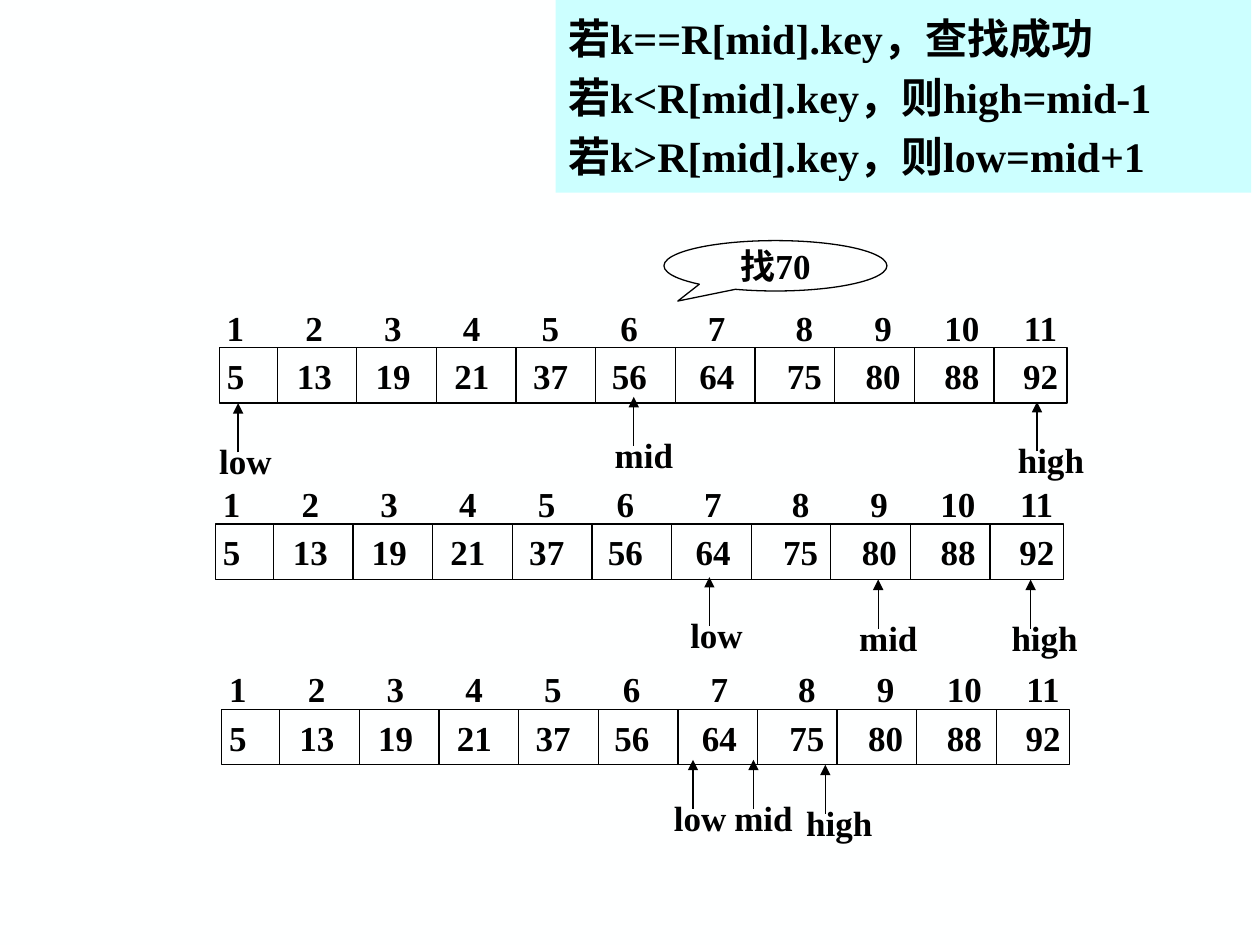
from pptx import Presentation
from pptx.dml.color import RGBColor
from pptx.enum.shapes import MSO_CONNECTOR, MSO_SHAPE
from pptx.enum.text import MSO_ANCHOR, PP_ALIGN
from pptx.oxml.ns import qn
from pptx.util import Inches, Pt
from lxml.etree import SubElement

COLORS = {"background": "FEFFFF", "ink": "000000", "rules": "CCFFFF"}
FONT = "Times New Roman"

KEYS = [5, 13, 19, 21, 37, 56, 64, 75, 80, 88, 92]
ARRAY_W, ARRAY_H = 6.73, 0.44
FIRST_DIVIDER, DIVIDER_STEP = 0.46, 0.632
TEXT_INSET = 0.06
# Number centres from the array's left edge; the gaps before 7 and 8 are wider
CENTERS = [0.13 + 0.625 * i + 0.07 * min(max(i - 5, 0), 2) for i in range(len(KEYS))]

ARROW_LENGTH = 0.39
LABEL_WIDTHS = {"low": 0.62, "mid": 0.66, "high": 0.73}

# Left and top of each array, then its pointers as (name, x, y of the tip)
STEPS = [
    (1.74, 2.76, [("low", 1.89, 3.2), ("high", 8.23, 3.19), ("mid", 5.03, 3.15)]),
    (1.71, 4.16, [("low", 5.63, 4.58), ("high", 8.18, 4.6), ("mid", 6.97, 4.6)]),
    (1.76, 5.63, [("low", 5.5, 6.03), ("high", 6.55, 6.07), ("mid", 5.98, 6.03)]),
]
RULES = [
    "若k==R[mid].key，查找成功",
    "若k<R[mid].key，则high=mid-1",
    "若k>R[mid].key，则low=mid+1",
]


def rgb(name):
    return RGBColor.from_string(COLORS[name])


def set_text(sp, text, size=20, align=PP_ALIGN.LEFT, wrap=False):
    tf = sp.text_frame
    tf.text = text
    tf.word_wrap = wrap
    for p in tf.paragraphs:
        p.alignment = align
        for r in p.runs:
            r.font.name = FONT
            r.font.size = Pt(size)
            r.font.bold = True
            r.font.color.rgb = rgb("ink")


def add_box(shapes, kind, left, top, width, height, fill=None):
    """Add a filled shape without outline, or an outlined one without fill."""
    sp = shapes.add_shape(kind, Inches(left), Inches(top), Inches(width), Inches(height))
    sp.shadow.inherit = False
    sp.text_frame.vertical_anchor = MSO_ANCHOR.MIDDLE
    if fill:
        sp.fill.solid()
        sp.fill.fore_color.rgb = rgb(fill)
        sp.line.fill.background()
    else:
        sp.fill.background()
        sp.line.color.rgb = rgb("ink")
        sp.line.width = Pt(0.75)
    return sp


def add_label(shapes, text, left, top, width):
    sp = shapes.add_textbox(Inches(left), Inches(top), Inches(width), Inches(0.43))
    set_text(sp, text)
    # Leaves room for the word on one line
    sp.text_frame.margin_right = 0
    return sp


def add_vertical(shapes, x, start, end, arrow=False):
    line = shapes.add_connector(
        MSO_CONNECTOR.STRAIGHT, Inches(x), Inches(start), Inches(x), Inches(end))
    line.line.color.rgb = rgb("ink")
    line.line.width = Pt(0.75)
    props = line._element.spPr
    if arrow:
        SubElement(props.find(qn("a:ln")), qn("a:tailEnd"), type="triangle")
    SubElement(props, qn("a:effectLst"))


def set_numbers(sp, numbers, inset):
    """Write numbers on one line, centred on tab stops after the first."""
    set_text(sp, "\t".join(str(n) for n in numbers), wrap=True)
    tf = sp.text_frame
    tf.margin_left, tf.margin_right = Inches(inset), 0
    tabs = SubElement(tf.paragraphs[0]._p.get_or_add_pPr(), qn("a:tabLst"))
    for center in CENTERS[1:]:
        SubElement(tabs, qn("a:tab"), pos=str(Inches(center - TEXT_INSET)), algn="ctr")


def add_array(shapes, left, top):
    indices = add_label(shapes, "", left - 0.04, top - 0.38, 6.8)
    set_numbers(indices, range(1, len(KEYS) + 1), TEXT_INSET + 0.04)
    cells = add_box(shapes, MSO_SHAPE.RECTANGLE, left, top, ARRAY_W, ARRAY_H)
    set_numbers(cells, KEYS, TEXT_INSET)
    for i in range(len(KEYS) - 1):
        add_vertical(shapes, left + FIRST_DIVIDER + DIVIDER_STEP * i, top, top + ARRAY_H)


def add_pointer(shapes, name, x, tip):
    start = tip + ARROW_LENGTH
    add_vertical(shapes, x, start, tip, arrow=True)
    add_label(shapes, name, x - 0.25, start - 0.15, LABEL_WIDTHS[name])


def add_callout(shapes):
    sp = add_box(shapes, MSO_SHAPE.OVAL_CALLOUT, 5.27, 1.91, 1.77, 0.4)
    sp.adjustments[0], sp.adjustments[1] = -0.438, 0.7
    set_text(sp, "找70", align=PP_ALIGN.CENTER)


def add_rules(shapes):
    sp = add_box(shapes, MSO_SHAPE.RECTANGLE, 4.41, 0, 5.52, 1.53, "rules")
    set_text(sp, "\n".join(RULES), size=24, wrap=True)
    for p in sp.text_frame.paragraphs[1:]:
        p.space_before = Pt(5)


def main():
    prs = Presentation()
    prs.slide_width, prs.slide_height = Inches(10), Inches(7.5)
    s = prs.slides.add_slide(prs.slide_layouts[6])
    s.background.fill.solid()
    s.background.fill.fore_color.rgb = rgb("background")

    for i, (left, top, pointers) in enumerate(STEPS):
        shapes = s.shapes.add_group_shape().shapes
        add_array(shapes, left, top)
        for pointer in pointers:
            add_pointer(shapes, *pointer)
        if i == 0:
            add_callout(shapes)
    add_rules(s.shapes)
    prs.save("out.pptx")


if __name__ == "__main__":
    main()
